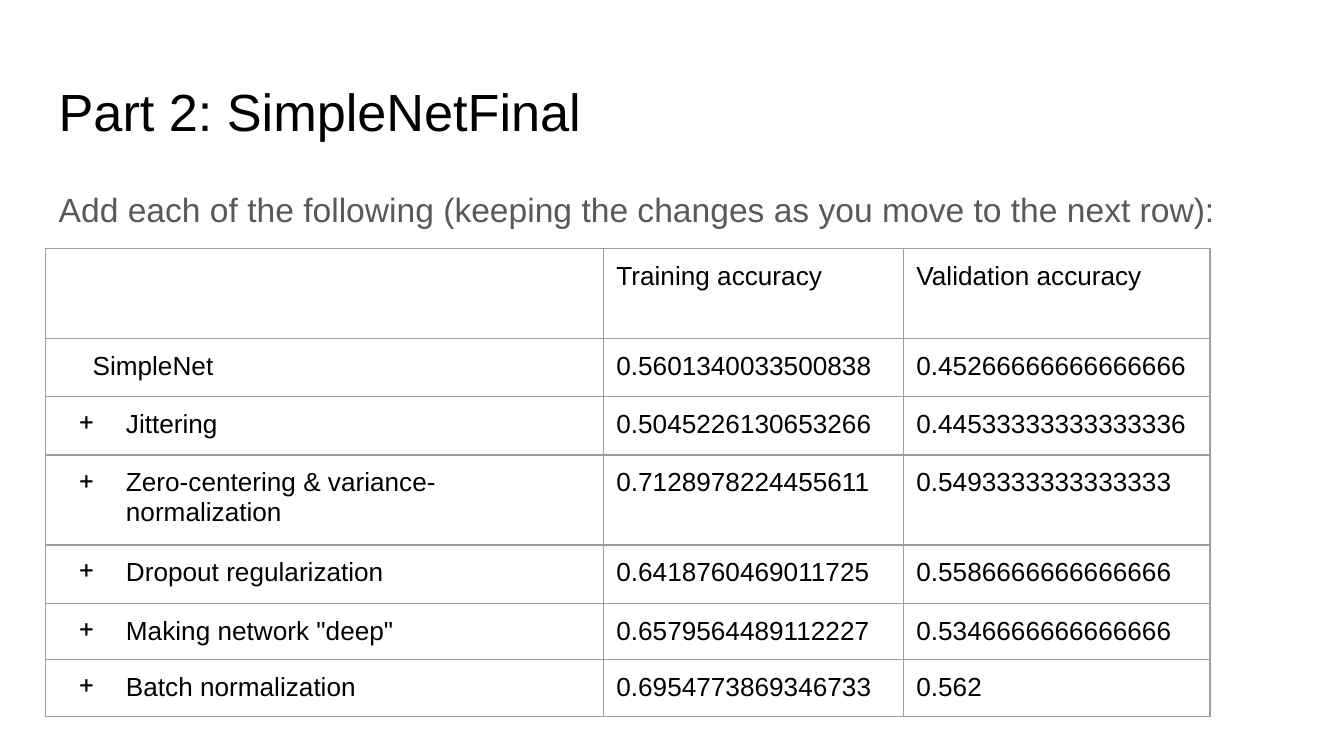
from dataclasses import dataclass

from lxml import etree
from pptx import Presentation
from pptx import util as u
from pptx.dml.color import RGBColor
from pptx.enum import text
from pptx.oxml import ns


@dataclass(frozen=True)
class Theme:
    font: str = "Arial"
    ink: str = "000000"
    muted: str = "595959"
    border: str = "9E9E9E"
    title_size: int = 28
    body_size: int = 18
    table_size: int = 14


THEME = Theme()
INSET = u.Cm(0.25)
LEFT = u.Cm(0.86)
TEXT_WIDTH = u.Cm(23.67)

COLUMN_WIDTHS = (10.54, 5.67, 5.8)
ROW_HEIGHTS = (1.7, 1.1, 1.1, 1.7, 1.1, 1.07, 1.07)
RESULTS = (
    ("", "Training accuracy", "Validation accuracy"),
    ("SimpleNet", "0.5601340033500838", "0.45266666666666666"),
    ("Jittering", "0.5045226130653266", "0.44533333333333336"),
    ("Zero-centering & variance-normalization", "0.7128978224455611", "0.5493333333333333"),
    ("Dropout regularization", "0.6418760469011725", "0.5586666666666666"),
    ("Making network \"deep\"", "0.6579564489112227", "0.5346666666666666"),
    ("Batch normalization", "0.6954773869346733", "0.562"),
)
BASELINE_ROW = 1


def set_attributes(target, values):
    for name, value in values.items():
        setattr(target, name, value)


def set_margins(target):
    sides = ("left", "top", "right", "bottom")
    set_attributes(target, {f"margin_{side}": INSET for side in sides})


def format_paragraph(paragraph, size, color, line_spacing=1.0):
    set_attributes(paragraph, {
        "alignment": text.PP_ALIGN.LEFT,
        "line_spacing": line_spacing,
        "space_before": u.Pt(0),
    })
    set_attributes(paragraph.font, {"name": THEME.font, "size": u.Pt(size), "bold": False})
    paragraph.font.color.rgb = RGBColor.from_string(color)


def set_bullet(paragraph, bullet=None, indent=0, hanging=0):
    """Set the indents in cm and the bullet character, or no bullet."""
    properties = paragraph._p.get_or_add_pPr()
    properties.set("marL", str(u.Cm(indent)))
    properties.set("indent", str(u.Cm(-hanging)))
    if bullet is None:
        mark = etree.Element(ns.qn("a:buNone"))
    else:
        mark = etree.Element(ns.qn("a:buChar"), char=bullet)
    # Bullets come after spacing and before the default run properties.
    defaults = properties.find(ns.qn("a:defRPr"))
    if defaults is None:
        properties.append(mark)
    else:
        defaults.addprevious(mark)


def fill_placeholder(placeholder, wording, top, height, size, color, line_spacing=1.0):
    set_attributes(placeholder, {
        "left": LEFT, "top": u.Cm(top), "width": TEXT_WIDTH, "height": u.Cm(height),
    })
    frame = placeholder.text_frame
    set_margins(frame)
    set_attributes(frame, {
        "text": wording,
        "word_wrap": True,
        "auto_size": text.MSO_AUTO_SIZE.NONE,
        "vertical_anchor": text.MSO_ANCHOR.TOP,
    })
    paragraph = frame.paragraphs[0]
    format_paragraph(paragraph, size, color, line_spacing)
    set_bullet(paragraph)


def add_borders(cell):
    properties = cell._tc.get_or_add_tcPr()
    for position, side in enumerate(("lnL", "lnR", "lnT", "lnB")):
        line = etree.Element(ns.qn(f"a:{side}"), w=str(u.Pt(0.75)))
        fill = etree.SubElement(line, ns.qn("a:solidFill"))
        etree.SubElement(fill, ns.qn("a:srgbClr"), val=THEME.border)
        properties.insert(position, line)


def fill_cell(cell, wording):
    cell.text = wording
    cell.fill.background()
    cell.vertical_anchor = text.MSO_ANCHOR.TOP
    set_margins(cell)
    add_borders(cell)
    format_paragraph(cell.text_frame.paragraphs[0], THEME.table_size, THEME.ink)


def add_results_table(slide):
    frame = slide.shapes.add_table(
        len(RESULTS), len(COLUMN_WIDTHS), LEFT, u.Cm(4.7),
        u.Cm(sum(COLUMN_WIDTHS)), u.Cm(sum(ROW_HEIGHTS)))
    table = frame.table
    set_attributes(table, {"first_row": False, "horz_banding": False})
    for column, width in zip(table.columns, COLUMN_WIDTHS):
        column.width = u.Cm(width)
    for index, (row, height, wordings) in enumerate(zip(table.rows, ROW_HEIGHTS, RESULTS)):
        row.height = u.Cm(height)
        for cell, wording in zip(row.cells, wordings):
            fill_cell(cell, wording)
        step = row.cells[0].text_frame.paragraphs[0]
        if index == BASELINE_ROW:
            set_bullet(step, indent=0.64)
        elif index > BASELINE_ROW:
            set_bullet(step, "+", indent=1.27, hanging=0.89)


def main():
    presentation = Presentation()
    set_attributes(presentation, {"slide_width": u.Cm(25.4), "slide_height": u.Cm(14.29)})
    slide = presentation.slides.add_slide(presentation.slide_layouts[1])
    title, body = slide.placeholders
    fill_placeholder(title, "Part 2: SimpleNetFinal", 1.24, 1.6,
                     THEME.title_size, THEME.ink)
    fill_placeholder(
        body, "Add each of the following (keeping the changes as you move to the next row):",
        3.2, 9.5, THEME.body_size, THEME.muted, line_spacing=1.15)
    add_results_table(slide)
    presentation.save("out.pptx")


if __name__ == "__main__":
    main()
